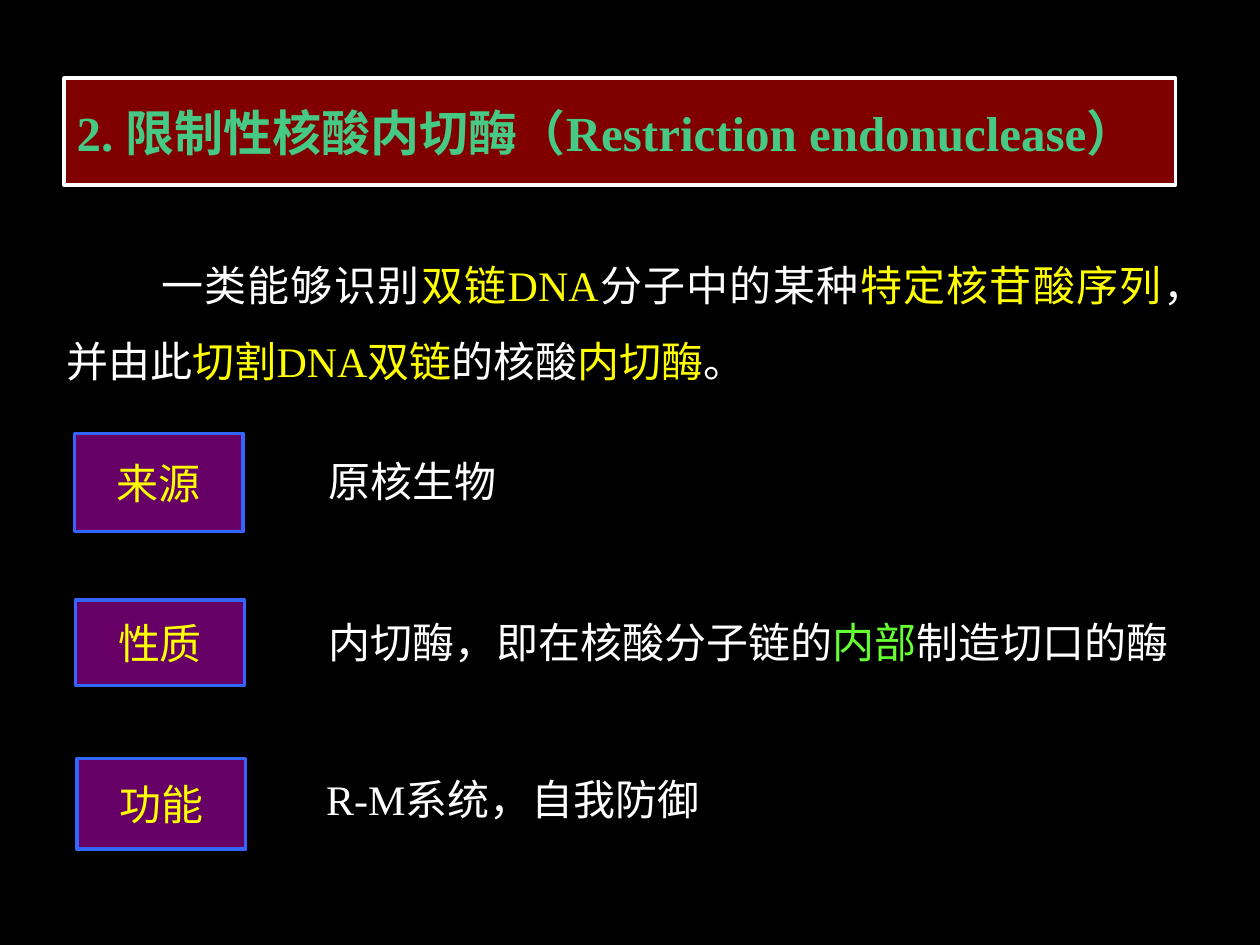
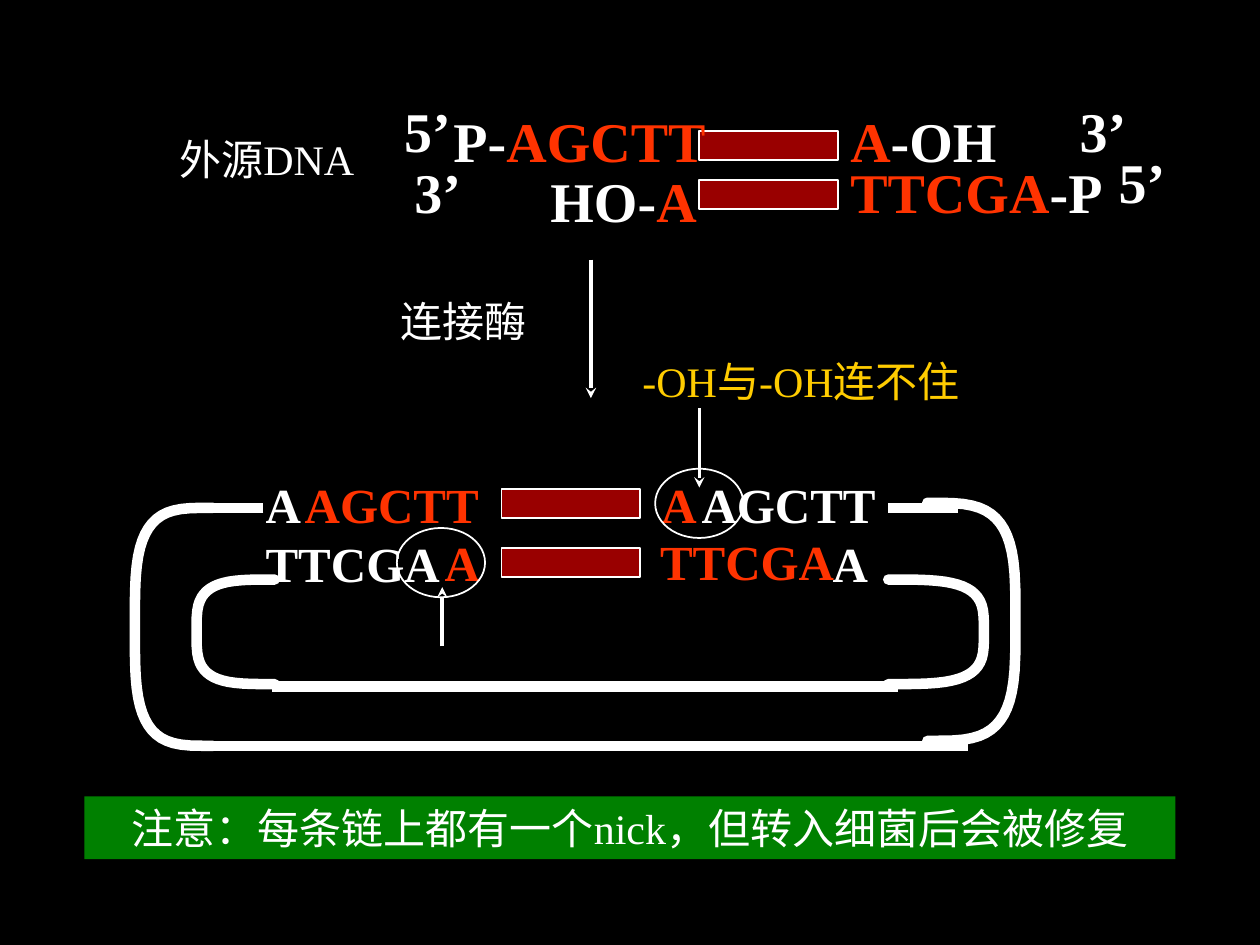
from math import cos, pi, sin

from lxml.etree import SubElement
from pptx import Presentation
from pptx.dml.color import RGBColor
from pptx.enum.lang import MSO_LANGUAGE_ID
from pptx.enum.shapes import MSO_CONNECTOR, MSO_SHAPE
from pptx.enum.text import MSO_ANCHOR, MSO_AUTO_SIZE, PP_ALIGN
from pptx.oxml.ns import qn
from pptx.util import Inches, Pt

COLUMNS, ROWS = 100, 75
FONT = "Times New Roman"
BLACK, WHITE, YELLOW, GOLD = "000000", "FFFFFF", "FFFF00", "FFCC00"
MAROON, MINT, PURPLE, BLUE = "800000", "45C984", "660066", "3366FF"
LIME, RED, BAR_RED, GREEN = "66FF33", "FF3300", "990000", "008000"
BODY, SEQUENCE, TITLE, END = 24, 28, 28, 32
STRAND = 6


def rgb(hex_string):
    return RGBColor.from_string(hex_string)


class Deck:
    """Draws on the current slide; lengths are columns and rows of the grid."""

    def __init__(self):
        self.prs = Presentation()
        self.prs.slide_width, self.prs.slide_height = Inches(10), Inches(7.5)
        self.column = self.prs.slide_width / COLUMNS
        self.row = self.prs.slide_height / ROWS

    def new_slide(self):
        self.slide = self.prs.slides.add_slide(self.prs.slide_layouts[6])
        background = self.slide.background.fill
        background.solid()
        background.fore_color.rgb = rgb(BLACK)

    def place(self, x, y):
        return round(x * self.column), round(y * self.row)

    def set_runs(self, frame, paragraphs, size, bold=False, align=None):
        """Each paragraph is a list of (text, colour) runs."""
        for number, runs in enumerate(paragraphs):
            paragraph = frame.add_paragraph() if number else frame.paragraphs[0]
            paragraph.alignment = align
            for words, colour in runs:
                run = paragraph.add_run()
                run.text = words
                font = run.font
                font.name, font.size, font.bold = FONT, Pt(size), bold
                font.color.rgb = rgb(colour)
                font.language_id = MSO_LANGUAGE_ID.SIMPLIFIED_CHINESE

    def text(self, x, y, w, h, *paragraphs, size=BODY, bold=False,
             wrap=False, align=None):
        box = self.slide.shapes.add_textbox(*self.place(x, y), *self.place(w, h))
        frame = box.text_frame
        frame.word_wrap = wrap
        frame.auto_size = MSO_AUTO_SIZE.SHAPE_TO_FIT_TEXT
        self.set_runs(frame, paragraphs, size, bold, align)
        return frame.paragraphs

    def shape(self, x, y, w, h, fill=None, line=None, width=1,
              kind=MSO_SHAPE.RECTANGLE):
        shape = self.slide.shapes.add_shape(
            kind, *self.place(x, y), *self.place(w, h))
        self.paint(shape, fill, line, width)
        return shape

    def paint(self, shape, fill, line, width):
        shape.shadow.inherit = False
        if fill:
            shape.fill.solid()
            shape.fill.fore_color.rgb = rgb(fill)
        else:
            shape.fill.background()
        if line:
            shape.line.color.rgb = rgb(line)
            shape.line.width = Pt(width)
        else:
            shape.line.fill.background()

    def panel(self, x, y, w, h, words, colour, fill, line=None,
              size=BODY, bold=False, align=PP_ALIGN.CENTER):
        """Filled rectangle with one line of text."""
        frame = self.shape(x, y, w, h, fill, line, 2).text_frame
        frame.word_wrap = True
        frame.vertical_anchor = MSO_ANCHOR.MIDDLE
        self.set_runs(frame, [[(words, colour)]], size, bold, align)

    def line(self, x1, y1, x2, y2, width=STRAND, arrow=False):
        line = self.slide.shapes.add_connector(
            MSO_CONNECTOR.STRAIGHT, *self.place(x1, y1), *self.place(x2, y2))
        line.line.color.rgb = rgb(WHITE)
        line.line.width = Pt(width)
        properties = line._element.spPr
        if arrow:
            SubElement(properties.find(qn("a:ln")), qn("a:tailEnd"), type="stealth")
        SubElement(properties, qn("a:effectLst"))

    def bend(self, x, top, bottom, reach, steps=32, squareness=3.65):
        """Half superellipse from (x, top) to (x, bottom), bulging by reach."""
        middle, half = (top + bottom) / 2, (bottom - top) / 2
        points = []
        for step in range(steps + 1):
            angle = pi * step / steps
            across = abs(sin(angle)) ** (2 / squareness)
            down = abs(cos(angle)) ** (2 / squareness)
            side = -1 if step < steps / 2 else 1
            points.append(self.place(x + reach * across, middle + side * half * down))
        builder = self.slide.shapes.build_freeform(*points[0])
        builder.add_line_segments(points[1:], close=False)
        curve = builder.convert_to_shape()
        self.paint(curve, None, WHITE, STRAND)
        outline = curve._element.spPr.find(qn("a:ln"))
        outline.set("cap", "rnd")
        SubElement(outline, qn("a:round"))


def enzyme_slide(deck):
    deck.new_slide()
    deck.panel(5.1, 6.2, 88.2, 8.5, "2. 限制性核酸内切酶（Restriction endonuclease）",
               MINT, MAROON, WHITE, TITLE, True, PP_ALIGN.LEFT)
    definition = deck.text(
        4.3, 18.1, 89, 13,
        [("一类能够识别", WHITE), ("双链DNA", YELLOW), ("分子中的某种", WHITE),
         ("特定核苷酸序列", YELLOW), ("，并由此", WHITE), ("切割DNA双链", YELLOW),
         ("的核酸", WHITE), ("内切酶", YELLOW), ("。", WHITE)],
        wrap=True, align=PP_ALIGN.JUSTIFY)[0]
    definition.line_spacing = 1.5
    definition._p.get_or_add_pPr().set("indent", str(Inches(0.75)))

    source = [("原核生物", WHITE)]
    nature = [("内切酶，即在核酸分子链的", WHITE), ("内部", LIME), ("制造切口的酶", WHITE)]
    role = [("R-M系统，自我防御", WHITE)]
    for heading, x, y, h, answer, answer_x, answer_y, answer_w, wrap in (
            ("来源", 5.9, 34.4, 7.8, source, 25.1, 35.7, 15.4, False),
            ("性质", 6, 47.6, 6.8, nature, 25.1, 48.4, 68.9, True),
            ("功能", 6.1, 60.2, 7.2, role, 24.9, 60.9, 32.5, False)):
        deck.panel(x, y, 13.4, h, heading, YELLOW, PURPLE, BLUE)
        deck.text(answer_x, answer_y, answer_w, 5, answer, wrap=wrap)


def ligation_slide(deck):
    deck.new_slide()

    # Plasmid: outer and inner strands
    for x1, x2, y in ((20.9, 16.9, 40.3), (70.5, 76, 40.3),
                      (21.6, 71.3, 54.5), (16.9, 76.8, 59.2)):
        deck.line(x1, y, x2, y)
    for x, top, bottom, reach in ((16.9, 40.3, 59.2, -6.2), (73.6, 39.9, 58.8, 7),
                                  (70.5, 46, 54.3, 7.6), (21.8, 46, 54.3, -6.2)):
        deck.bend(x, top, bottom, reach)

    # Inserted DNA and the foreign fragment share the same bars
    for x, y in ((39.8, 38.8), (39.8, 43.5), (55.5, 10.4), (55.5, 14.3)):
        deck.shape(x, y, 11, 2.3, BAR_RED, WHITE)

    deck.text(20.1, 37.2, 15.8, 10.4, [("A", WHITE)], [("TTCGA", WHITE)],
              size=SEQUENCE, bold=True)
    right_end = deck.text(54.7, 37.2, 15.8, 10.4, [("AGCTT", WHITE)], [("A", WHITE)],
                          size=SEQUENCE, bold=True)
    right_end[1]._p.get_or_add_pPr().set("marL", str(Inches(1.04)))
    for bases, x, y, w in (("AGCTT", 23.2, 37.2, 15.8), ("A", 51.5, 37.2, 4.8),
                           ("A", 34.3, 41.8, 4.8), ("TTCGA", 51.4, 41.7, 15.8)):
        deck.text(x, y, w, 5.7, [(bases, RED)], size=SEQUENCE, bold=True)

    for x, start, end in ((55.5, 32.4, 38.7), (35.1, 51.3, 46.6), (46.9, 20.6, 31.6)):
        deck.line(x, start, x, end, width=2, arrow=True)
    deck.text(30.8, 23, 12, 5, [("连接酶", WHITE)])
    deck.text(50, 27.7, 42.1, 5, [("-OH与-OH连不住", GOLD)], wrap=True)
    deck.panel(6.7, 63.2, 86.6, 5, "注意：每条链上都有一个nick，但转入细菌后会被修复",
               WHITE, GREEN)

    # Foreign DNA with its labelled ends
    for x, y, w, runs in (
            (84.7, 7.2, 6.3, [("3’", WHITE)]),
            (35, 8, 22.1, [("P-", WHITE), ("AGCTT", RED)]),
            (66.5, 8, 13.6, [("A", RED), ("-OH", WHITE)]),
            (31.1, 7.2, 5.7, [("5’", WHITE)]),
            (31.9, 12, 5.7, [("3’", WHITE)]),
            (42.7, 12.7, 13.6, [("HO-", WHITE), ("A", RED)]),
            (66.5, 12, 22.1, [("TTCGA", RED), ("-P", WHITE)]),
            (87.8, 11.2, 5.7, [("5’", WHITE)])):
        deck.text(x, y, w, 6.3, runs, size=END, bold=True)
    deck.text(3.1, 10.1, 26, 5, [("外源DNA", WHITE)], wrap=True, align=PP_ALIGN.RIGHT)

    for nick_x, nick_y in ((52, 37.2), (31.5, 41.9)):
        deck.shape(nick_x, nick_y, 7, 5.5, line=WHITE, kind=MSO_SHAPE.OVAL)


def main():
    deck = Deck()
    enzyme_slide(deck)
    ligation_slide(deck)
    deck.prs.save("out.pptx")


if __name__ == "__main__":
    main()
